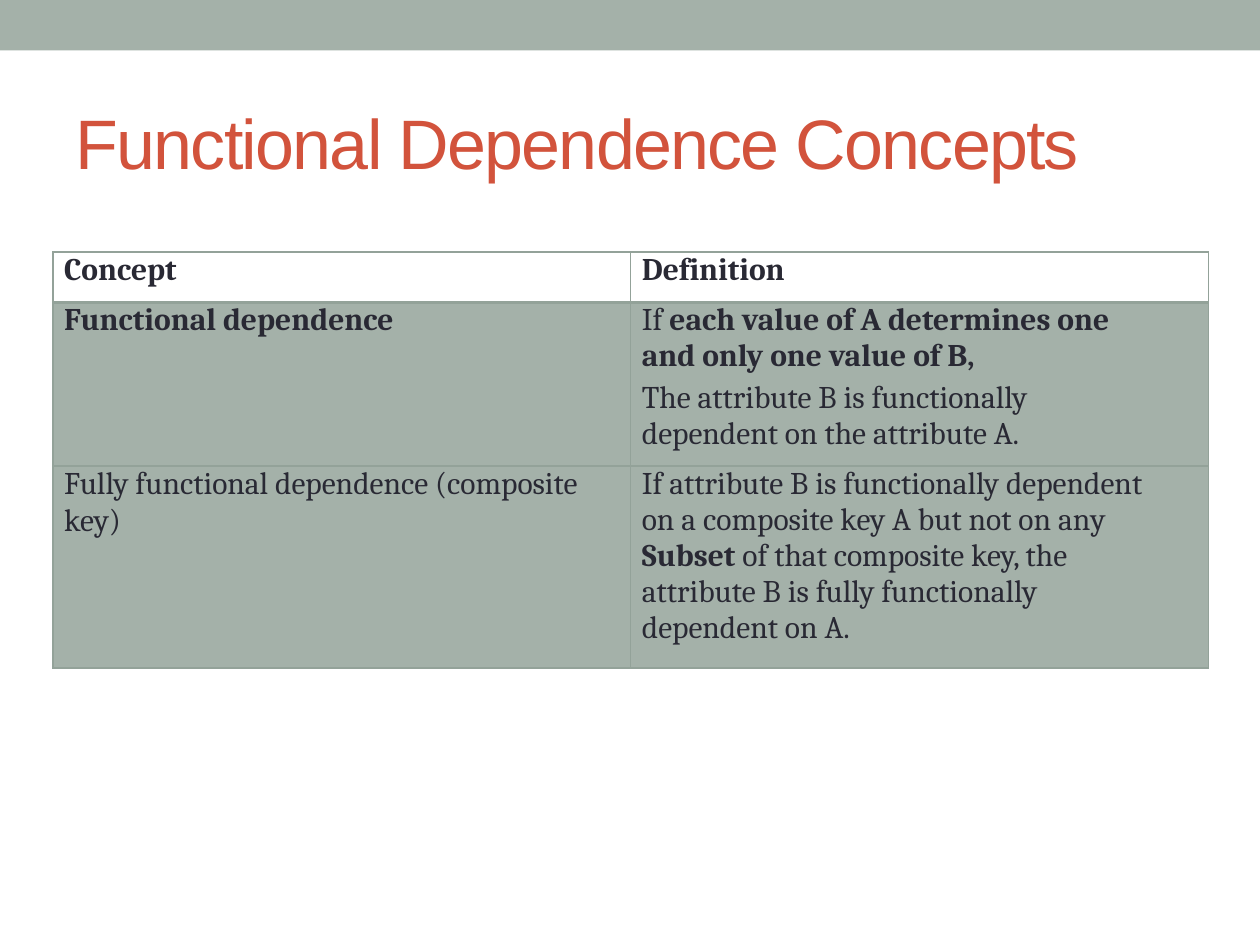
from dataclasses import dataclass

from lxml.etree import SubElement
from pptx import Presentation
from pptx.dml.color import RGBColor
from pptx.enum.shapes import MSO_SHAPE
from pptx.enum.text import MSO_ANCHOR, MSO_AUTO_SIZE, PP_ALIGN
from pptx.oxml.ns import qn
from pptx.util import Inches, Pt


@dataclass(frozen=True)
class Theme:
    sage: str = "A4B1A9"
    rule: str = "93A299"
    rust: str = "D2533C"
    ink: str = "292934"
    head: str = "Arial"
    body: str = "Cambria"
    big: int = 40
    text: int = 18


THEME = Theme()

# A cell is a list of paragraphs; a paragraph is a list of (text, bold) runs.
ROWS = [
    [[[("Concept", True)]], [[("Definition", True)]]],
    [
        [[("Functional dependence", True)]],
        [
            [("If ", False),
             ("each value of A determines one and only one value of B,", True)],
            [("The attribute B is functionally dependent on the attribute A.",
              False)],
        ],
    ],
    [
        [[("Fully functional dependence (composite key)", False)]],
        [[("If attribute B is functionally dependent on a composite key A "
           "but not on any ", False),
          ("Subset", True),
          (" of that composite key, the attribute B is fully functionally "
           "dependent on A.", False)]],
    ],
]
HEIGHTS = [0.4, 1.3, 1.6]


def style(font, name, size, color):
    font.name, font.size = name, Pt(size)
    font.color.rgb = RGBColor.from_string(color)


def track(run, points):
    """Set the letter spacing of a run."""
    run.font._element.set("spc", str(round(points * 100)))


def add_band(slide, left, top, width, height):
    band = slide.shapes.add_shape(MSO_SHAPE.RECTANGLE, left, top, width, height)
    band.shadow.inherit = False
    band.fill.solid()
    band.fill.fore_color.rgb = RGBColor.from_string(THEME.sage)
    band.line.fill.background()


def set_title(slide, text, left, top, width, height):
    title = slide.shapes.title
    title.left, title.top, title.width, title.height = left, top, width, height
    frame = title.text_frame
    frame.auto_size = MSO_AUTO_SIZE.NONE
    frame.vertical_anchor = MSO_ANCHOR.TOP
    frame.margin_left = Inches(0.01)
    frame.margin_top = Inches(0.24)
    frame.margin_right = frame.margin_bottom = 0
    para = frame.paragraphs[0]
    para.alignment = PP_ALIGN.LEFT
    style(para.font, THEME.head, THEME.big, THEME.rust)
    run = para.add_run()
    run.text = text
    track(run, -1)


def set_borders(cell, top, bottom):
    """Rule all four sides; top and bottom are widths in points."""
    props = cell._tc.get_or_add_tcPr()
    sides = [("lnL", 1), ("lnR", 1), ("lnT", top), ("lnB", bottom)]
    for spot, (tag, width) in enumerate(sides):
        line = SubElement(props, qn(f"a:{tag}"), w=str(Pt(width)))
        fill = SubElement(line, qn("a:solidFill"))
        SubElement(fill, qn("a:srgbClr"), val=THEME.rule)
        props.insert(spot, line)


def fill_cell(cell, paras, spacing):
    cell.margin_left, cell.margin_right = Inches(0.09), Inches(0.4)
    cell.margin_top = cell.margin_bottom = 0
    frame = cell.text_frame
    for spot, runs in enumerate(paras):
        para = frame.add_paragraph() if spot else frame.paragraphs[0]
        para.space_before = Pt(3)
        para.line_spacing = spacing
        style(para.font, THEME.body, THEME.text, THEME.ink)
        for text, bold in runs:
            run = para.add_run()
            run.text, run.font.bold = text, bold


def add_grid(slide, left, top, width, height):
    table = slide.shapes.add_table(
        len(ROWS), len(ROWS[0]), left, top, width, height).table
    table.first_row = table.horz_banding = False
    for row, (cells, tall) in enumerate(zip(ROWS, HEIGHTS)):
        table.rows[row].height = Inches(tall)
        for col, paras in enumerate(cells):
            cell = table.cell(row, col)
            if row:
                cell.fill.solid()
                cell.fill.fore_color.rgb = RGBColor.from_string(THEME.sage)
            else:
                cell.fill.background()
            set_borders(cell, 2 if row == 1 else 1, 1 if row else 2)
            fill_cell(cell, paras, Pt(21) if (row, col) == (2, 0) else 0.99)


def main():
    deck = Presentation()
    deck.slide_width, deck.slide_height = Inches(10), Inches(7.5)
    slide = deck.slides.add_slide(deck.slide_layouts[5])
    add_band(slide, 0, 0, deck.slide_width, Inches(0.4))
    set_title(slide, "Functional Dependence Concepts",
              Inches(0.59), Inches(0.55), Inches(8.83), Inches(1.18))
    add_grid(slide, Inches(0.42), Inches(2), Inches(9.17), Inches(sum(HEIGHTS)))
    deck.save("out.pptx")


if __name__ == "__main__":
    main()
